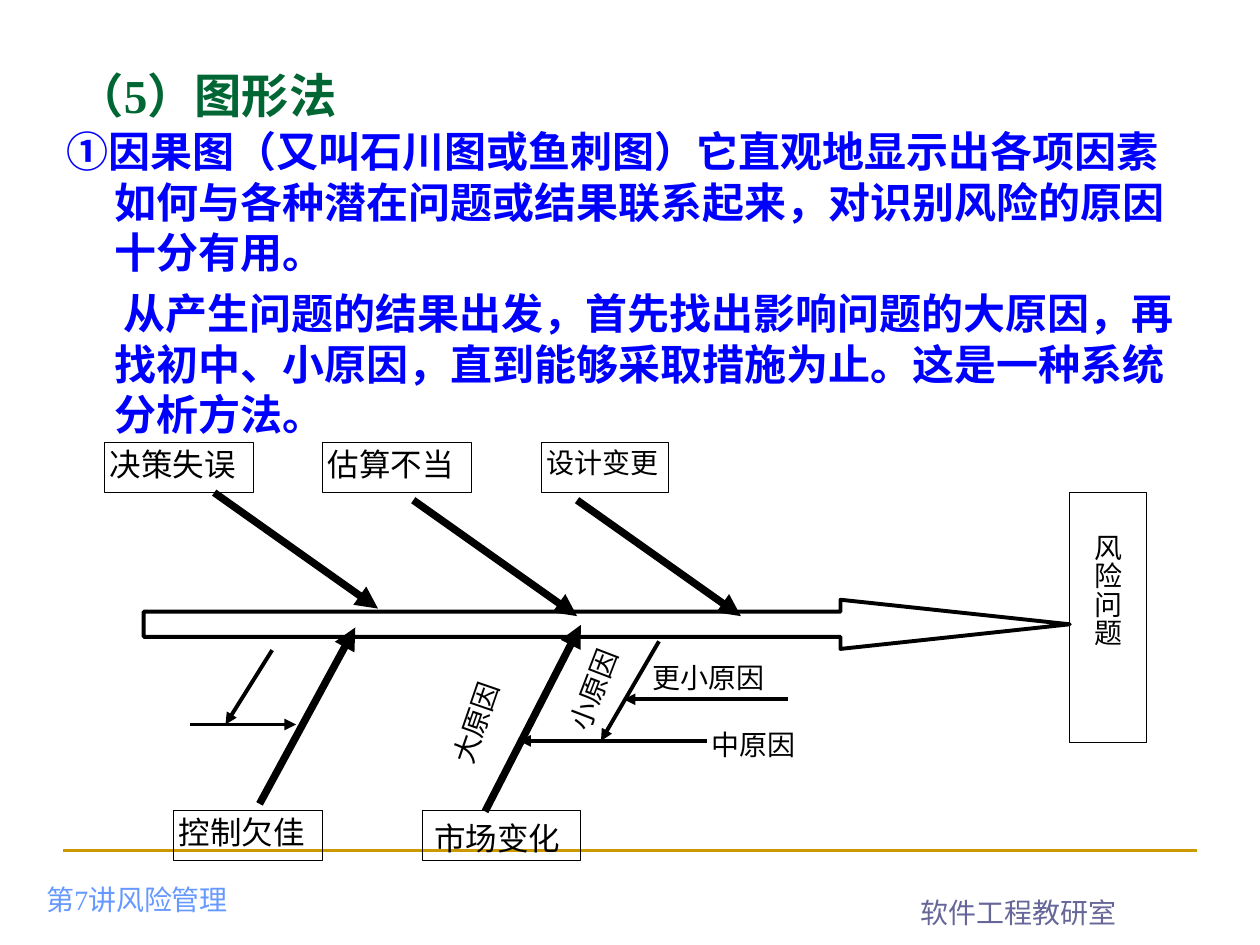
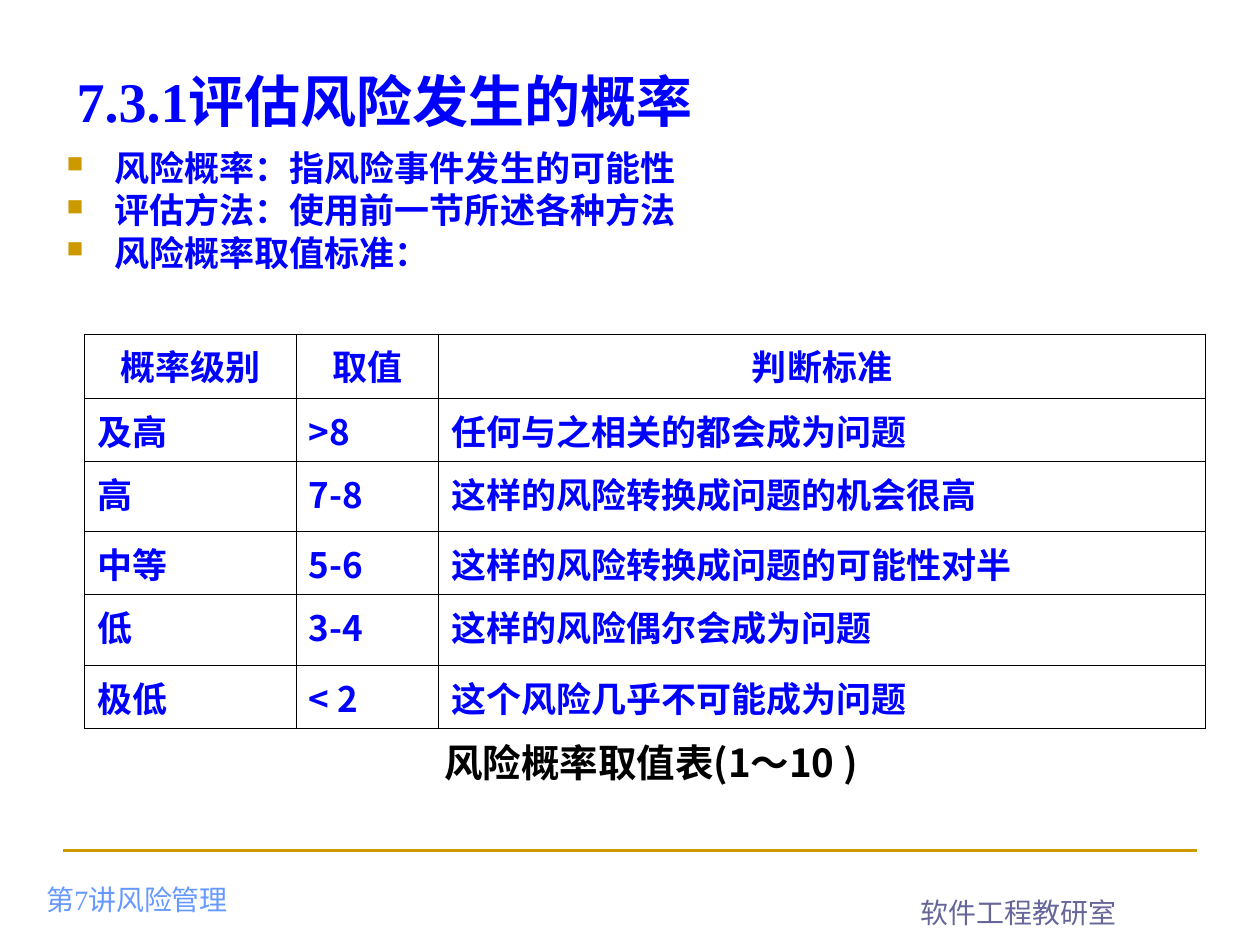
from pptx import Presentation
from pptx.dml.color import RGBColor
from pptx.enum.shapes import MSO_CONNECTOR, MSO_SHAPE
from pptx.enum.text import MSO_ANCHOR, PP_ALIGN
from pptx.oxml.ns import qn
from pptx.util import Inches, Pt
from lxml.etree import SubElement

WHITE = RGBColor(0xFF, 0xFF, 0xFF)
BLACK = RGBColor(0x00, 0x00, 0x00)
BLUE = RGBColor(0x00, 0x00, 0xFF)
GREEN = RGBColor(0x00, 0x66, 0x33)
GOLD = RGBColor(0xCC, 0x99, 0x00)
SKY = RGBColor(0x66, 0x99, 0xFF)
PURPLE = RGBColor(0x66, 0x66, 0x99)

SERIF, SANS, CJK = "Times New Roman", "Arial", "Noto Sans CJK SC"
WIDTH, HEIGHT = Inches(10), Inches(7.5)
COLS, ROWS = 100, 75
HANG = 3.8
TIGHT = (0.4, 0.4)

FOOTER = {"size": Pt(16), "name": SERIF}
LABEL = {"size": Pt(16), "name": SERIF, "color": BLACK}
CAUSE = {"size": Pt(18), "name": SANS, "color": BLACK}
BODY = {"size": Pt(24), "name": CJK, "bold": True, "color": BLUE}
POINT = {"size": Pt(20), "name": SANS, "bold": True, "color": BLUE}
CELL = {"size": Pt(20), "name": CJK, "bold": True, "color": BLUE}
CAPTION = {"size": Pt(22), "name": CJK, "bold": True, "color": BLACK}


def x(cols):
    return int(WIDTH * cols / COLS)


def y(rows):
    return int(HEIGHT * rows / ROWS)


class Deck:
    def __init__(self):
        self.prs = Presentation()
        self.prs.slide_width, self.prs.slide_height = WIDTH, HEIGHT
        self.s = None

    def slide(self, title, size, color):
        self.s = self.prs.slides.add_slide(self.prs.slide_layouts[6])
        self.s.background.fill.solid()
        self.s.background.fill.fore_color.rgb = WHITE
        self.line((5, 67.5), (95, 67.5), 1.5, GOLD, arrow=False)
        self.text((65, 69.2, 31.7, 5), ["软件工程教研室"], {**FOOTER, "color": PURPLE},
                  align=PP_ALIGN.CENTER, anchor=MSO_ANCHOR.BOTTOM)
        self.text((2.7, 68.2, 41, 5), ["第7讲风险管理"], {**FOOTER, "color": SKY},
                  anchor=MSO_ANCHOR.BOTTOM)
        self.text((5.1, 4.8, 90, 6.9), [title],
                  {"size": Pt(size), "name": SERIF, "bold": True, "color": color})

    def add_run(self, p, text, style):
        r = p.add_run()
        r.text = text
        for key, value in style.items():
            if key == "color":
                r.font.color.rgb = value
            else:
                setattr(r.font, key, value)
        SubElement(r._r.get_or_add_rPr(), qn("a:ea"), typeface=CJK)

    def set_lines(self, tf, lines, style, inset=(1, 0.5), pitch=1.2, gap=0,
                  align=PP_ALIGN.LEFT, anchor=MSO_ANCHOR.TOP, indents=None, bullet=None):
        side, top = inset
        frame = {"word_wrap": True, "vertical_anchor": anchor,
                 "margin_left": x(side), "margin_right": x(side),
                 "margin_top": y(top), "margin_bottom": y(min(top, 0.5))}
        for key, value in frame.items():
            setattr(tf, key, value)
        for i, text in enumerate(lines):
            p = tf.add_paragraph() if i else tf.paragraphs[0]
            pPr = p._p.get_or_add_pPr()
            if indents:
                pPr.set("marL", str(x(HANG)))
                pPr.set("indent", str(x(indents[i])))
            if bullet:
                clr = SubElement(pPr, qn("a:buClr"))
                SubElement(clr, qn("a:srgbClr"), val=str(GOLD))
                SubElement(pPr, qn("a:buSzPct"), val="65000")
                SubElement(pPr, qn("a:buChar"), char=bullet)
            p.alignment = align
            p.line_spacing = Pt(round(style["size"].pt * pitch, 1))
            p.space_before = Pt(gap if i else 0)
            self.add_run(p, text, style)

    def text(self, box, lines, style, rotation=0, **layout):
        left, top, width, height = box
        sp = self.s.shapes.add_textbox(x(left), y(top), x(width), y(height))
        sp.rotation = rotation
        self.set_lines(sp.text_frame, lines, style, **layout)

    def shape(self, kind, box, weight, adjustments=()):
        left, top, width, height = box
        sp = self.s.shapes.add_shape(kind, x(left), y(top), x(width), y(height))
        for i, value in enumerate(adjustments):
            sp.adjustments[i] = value
        sp.shadow.inherit = False
        sp.fill.background()
        sp.line.color.rgb = BLACK
        sp.line.width = Pt(weight)
        return sp

    def box(self, box, lines, style, **layout):
        sp = self.shape(MSO_SHAPE.RECTANGLE, box, 0.57)
        self.set_lines(sp.text_frame, lines, style, **layout)

    def line(self, start, end, weight, color=BLACK, arrow=True):
        (x1, y1), (x2, y2) = start, end
        cxn = self.s.shapes.add_connector(MSO_CONNECTOR.STRAIGHT, x(x1), y(y1), x(x2), y(y2))
        cxn.line.color.rgb = color
        cxn.line.width = Pt(weight)
        spPr = cxn._element.spPr
        if arrow:
            SubElement(spPr.find(qn("a:ln")), qn("a:tailEnd"), type="triangle")
        SubElement(spPr, qn("a:effectLst"))

    def border(self, cell):
        tcPr = cell._tc.get_or_add_tcPr()
        for i, side in enumerate(("a:lnL", "a:lnR", "a:lnT", "a:lnB")):
            ln = SubElement(tcPr, qn(side), w=str(int(Pt(0.45))))
            fill = SubElement(ln, qn("a:solidFill"))
            SubElement(fill, qn("a:srgbClr"), val=str(BLACK))
            tcPr.insert(i, ln)

    def table(self, left, top, widths, heights, rows, style):
        frame = self.s.shapes.add_table(len(rows), len(widths), x(left), y(top),
                                        x(sum(widths)), y(sum(heights)))
        table = frame.table
        for column, width in zip(table.columns, widths):
            column.width = x(width)
        for i, (row, height) in enumerate(zip(rows, heights)):
            table.rows[i].height = y(height)
            for j, text in enumerate(row):
                cell = table.cell(i, j)
                cell.fill.background()
                self.border(cell)
                p = cell.text_frame.paragraphs[0]
                p.alignment = PP_ALIGN.LEFT if i else PP_ALIGN.CENTER
                self.add_run(p, text, style)


def fishbone_slide(deck):
    deck.slide("（5）图形法", 27, GREEN)
    deck.text((4.3, 9.5, 91, 25.5), [
        "①因果图（又叫石川图或鱼刺图）它直观地显示出各项因素如何与各种潜在问题或结果联系起来，对识别风险的原因十分有用。",
        "从产生问题的结果出发，首先找出影响问题的大原因，再找初中、小原因，直到能够采取措施为止。这是一种系统分析方法。",
    ], BODY, gap=6, indents=(-HANG, 0.7))

    deck.shape(MSO_SHAPE.RIGHT_ARROW, (11.4, 47.6, 73.5, 3.9), 2.25, (0.512, 4.662))
    deck.box((84.9, 39.1, 6.1, 19.8), list("风险问题"), LABEL,
             inset=(0.4, 3.4), pitch=1.01, align=PP_ALIGN.CENTER)

    for left, top, width, cause, style in (
            (8.3, 35.1, 11.8, "决策失误", CAUSE),
            (25.6, 35.1, 11.8, "估算不当", CAUSE),
            (43, 35.1, 10.1, "设计变更", LABEL),
            (13.8, 64.3, 11.8, "控制欠佳", CAUSE)):
        deck.box((left, top, width, 4), [cause], style, inset=TIGHT, pitch=1.13)
    deck.box((33.5, 64.3, 12.6, 4), ["市场变化"], CAUSE, inset=(1, 0.9), pitch=1.13)

    for left, top in ((17, 39.1), (32.8, 39.7), (45.8, 39.7)):
        deck.line((left, top), (left + 13, top + 9.2), 4.25)
    for start, end in (((38.5, 64.4), (46.1, 49.6)), ((20.6, 63.8), (28.2, 49.8))):
        deck.line(start, end, 4.25)
    for start, end in (
            ((56.1, 58.8), (41.2, 58.8)),
            ((52.3, 50.9), (47.7, 58.8)),
            ((62.5, 55.5), (49.5, 55.5)),
            ((15.1, 57.5), (23.5, 57.5)),
            ((21.6, 51.6), (17.9, 57.5))):
        deck.line(start, end, 2.25)

    for left, top, width, label in ((56.1, 57.5, 10.6, "中原因"),
                                    (51.4, 52.2, 13.4, "更小原因")):
        deck.text((left, top, width, 3.2), [label], LABEL, inset=TIGHT, pitch=1.13)
    for left, top, label, angle in ((35, 55, "大原因", 289), (44.3, 52.4, "小原因", 291)):
        deck.text((left, top, 7.5, 4.5), [label], LABEL, rotation=angle, inset=(0, 0))


def probability_slide(deck):
    deck.slide("7.3.1评估风险发生的概率", 32, BLUE)
    deck.text((4.3, 11.8, 70.1, 11), [
        "风险概率：指风险事件发生的可能性",
        "评估方法：使用前一节所述各种方法",
        "风险概率取值标准：",
    ], POINT, pitch=0.96, gap=5, indents=(-HANG,) * 3, bullet="■")
    deck.table(6.7, 26.5, (16.8, 11.3, 60.9), (5.1, 5, 5.6, 5, 5.6, 5), (
        ("概率级别", "取值", "判断标准"),
        ("及高", ">8", "任何与之相关的都会成为问题"),
        ("高", "7-8", "这样的风险转换成问题的机会很高"),
        ("中等", "5-6", "这样的风险转换成问题的可能性对半"),
        ("低", "3-4", "这样的风险偶尔会成为问题"),
        ("极低", "< 2", "这个风险几乎不可能成为问题"),
    ), CELL)
    deck.text((34.3, 58.2, 41.7, 4.7), ["风险概率取值表(1～10 )"], CAPTION)


def main():
    deck = Deck()
    fishbone_slide(deck)
    probability_slide(deck)
    deck.prs.save("out.pptx")


if __name__ == "__main__":
    main()
